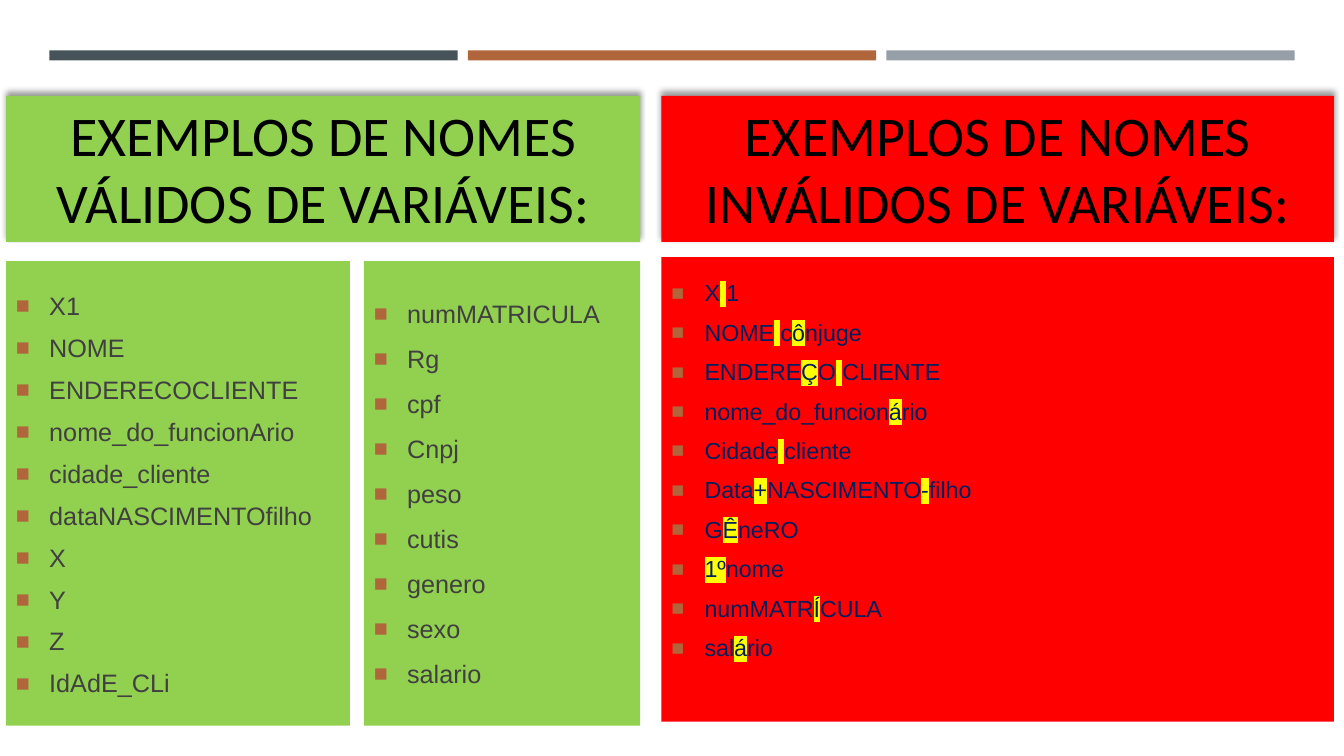
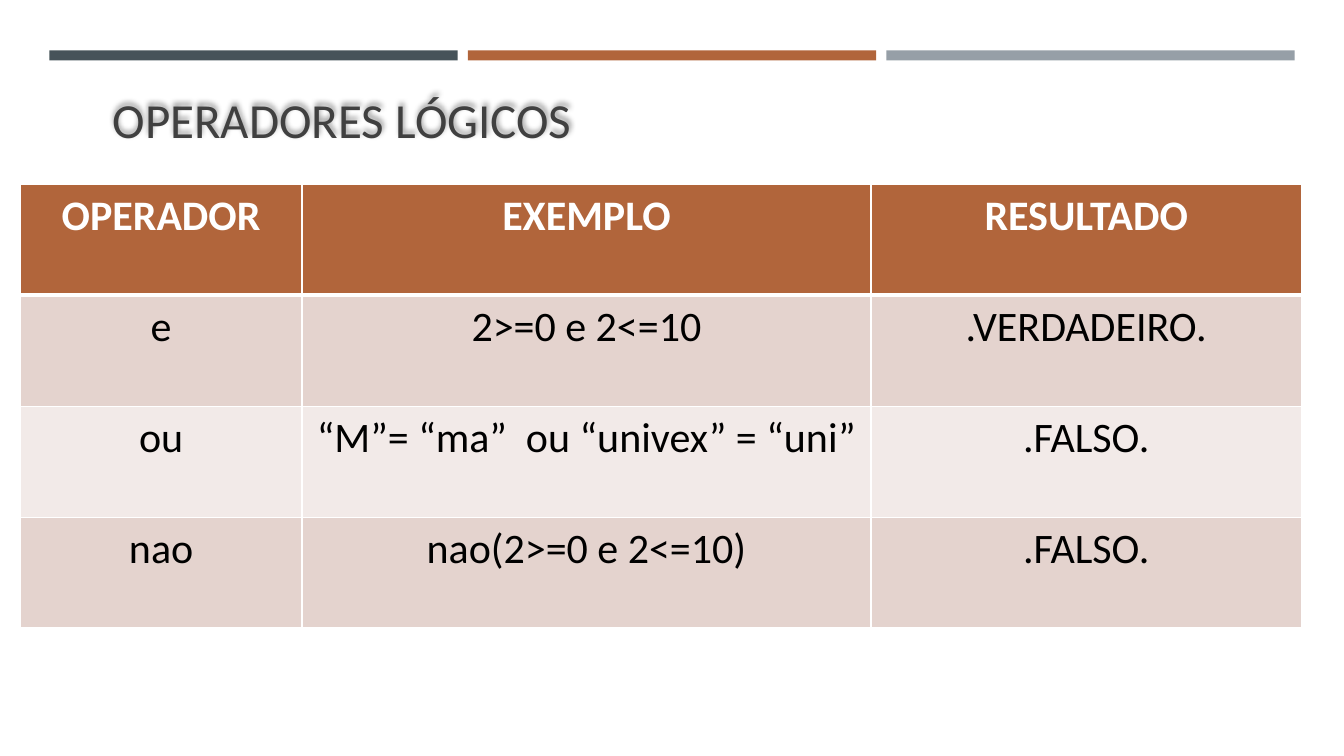
from pptx import Presentation
from pptx.dml.color import RGBColor
from pptx.enum.shapes import MSO_SHAPE
from pptx.enum.text import MSO_ANCHOR, PP_ALIGN
from pptx.oxml import parse_xml
from pptx.oxml.ns import nsdecls, qn
from pptx.util import Inches, Pt

RECTANGLE = MSO_SHAPE.RECTANGLE
TOP, MIDDLE, BOTTOM = MSO_ANCHOR.TOP, MSO_ANCHOR.MIDDLE, MSO_ANCHOR.BOTTOM
LEFT, CENTER = PP_ALIGN.LEFT, PP_ALIGN.CENTER

SLIDE_W, SLIDE_H = 13.33, 7.5
HEADING_FONT, LIST_FONT = "Calibri", "Arial"
COLORS = {
    "slate": "465359", "rust": "B1653B", "gray": "969FA7",
    "valid": "92D050", "invalid": "FF0000", "mark": "FFFF00",
    "text": "404040", "navy": "002060", "black": "000000", "white": "FFFFFF",
    "row_dark": "E4D3CE", "row_light": "F2EAE8",
}

VALID_NAMES = [
    ["X1", "NOME", "ENDERECOCLIENTE", "nome_do_funcionArio", "cidade_cliente",
     "dataNASCIMENTOfilho", "X", "Y", "Z", "IdAdE_CLi"],
    ["numMATRICULA", "Rg", "cpf", "Cnpj", "peso", "cutis", "genero", "sexo",
     "salario"],
]
# Square brackets enclose the characters to highlight
INVALID_NAMES = [
    "X[ ]1", "NOME[ ]c[ô]njuge", "ENDERE[Ç]O[ ]CLIENTE",
    "nome_do_funcion[á]rio", "Cidade[ ]cliente", "Data[+]NASCIMENTO[-]filho",
    "G[Ê]neRO", "[1º]nome", "numMATR[Í]CULA", "sal[á]rio",
]
OPERATORS = [
    ["OPERADOR", "EXEMPLO", "RESULTADO"],
    ["e", "2>=0 e 2<=10", ".VERDADEIRO."],
    ["ou", "“M”= “ma”  ou “univex” = “uni”", ".FALSO."],
    ["nao", "nao(2>=0 e 2<=10)", ".FALSO."],
]


def rgb(name):
    return RGBColor.from_string(COLORS[name])


def split_columns(left, width, weights, gap):
    """Left edge and width of each weighted column."""
    usable = width - gap * (len(weights) - 1)
    for weight in weights:
        column = usable * weight / sum(weights)
        yield left, column
        left += column + gap


def add_block(slide, box, fill):
    block = slide.shapes.add_shape(RECTANGLE, *map(Inches, box))
    block.fill.solid()
    block.fill.fore_color.rgb = rgb(fill)
    block.line.fill.background()
    block.shadow.inherit = False
    return block


def add_upward_shadow(shape):
    shape.shadow.inherit = False
    shape._element.spPr.find(qn("a:effectLst")).append(parse_xml(
        f'<a:outerShdw {nsdecls("a")} blurRad="{Pt(4)}" dist="{Pt(3)}" '
        f'dir="16200000" rotWithShape="0"><a:srgbClr val="{COLORS["black"]}">'
        '<a:alpha val="40000"/></a:srgbClr></a:outerShdw>'))


def style_paragraph(paragraph, font, size, color, align, bold=False):
    paragraph.alignment = align
    paragraph.font.name = font
    paragraph.font.size = Pt(size)
    paragraph.font.bold = bold
    paragraph.font.color.rgb = rgb(color)


def write_heading(shape, text, size, color, anchor):
    frame = shape.text_frame
    frame.word_wrap = True
    frame.vertical_anchor = anchor
    frame.text = text
    style_paragraph(frame.paragraphs[0], HEADING_FONT, size, color, CENTER)
    add_upward_shadow(shape)


def add_bullet(paragraph):
    props = paragraph._p.get_or_add_pPr()
    props.set("marL", str(Inches(0.33)))
    props.set("indent", str(-Inches(0.33)))
    for tag in (f'buClr {nsdecls("a")}><a:srgbClr val="{COLORS["rust"]}"/></a:buClr',
                f'buSzPct {nsdecls("a")} val="92000"/',
                f'buFont {nsdecls("a")} typeface="{LIST_FONT}"/',
                f'buChar {nsdecls("a")} char="■"/'):
        props.append(parse_xml(f"<a:{tag}>"))


def write_marked(paragraph, text):
    """Add runs, highlighting the bracketed parts."""
    for index, part in enumerate(text.replace("]", "[").split("[")):
        if not part:
            continue
        run = paragraph.add_run()
        run.text = part
        if index % 2:
            run._r.get_or_add_rPr().append(parse_xml(
                f'<a:highlight {nsdecls("a")}><a:srgbClr '
                f'val="{COLORS["mark"]}"/></a:highlight>'))


def add_name_list(slide, box, fill, names, size, color, spacing, insets):
    frame = add_block(slide, box, fill).text_frame
    frame.word_wrap = True
    frame.vertical_anchor = MIDDLE
    frame.margin_top, frame.margin_bottom = map(Inches, insets)
    for index, name in enumerate(names):
        paragraph = frame.add_paragraph() if index else frame.paragraphs[0]
        paragraph.line_spacing = spacing
        paragraph.space_before = Pt(round(size / 4, 1))
        paragraph.space_after = Pt(6)
        add_bullet(paragraph)
        style_paragraph(paragraph, LIST_FONT, size, color, LEFT)
        write_marked(paragraph, name)


def add_names_panel(slide, box, fill, title, lists, weights, size, color):
    """Heading above one or more lists, given as (names, spacing, insets)."""
    left, top, width, height = box
    heading = add_block(slide, (left, top, width, 1.45), fill)
    write_heading(heading, title, 40, "black", TOP)
    list_height = 4.61
    list_top = top + height - list_height
    columns = split_columns(left, width, weights, 0.14)
    for (x, column), (names, spacing, insets) in zip(columns, lists):
        add_name_list(slide, (x, list_top, column, list_height), fill, names,
                      size, color, spacing, insets)


def set_cell_borders(cell, top, bottom):
    props = cell._tc.get_or_add_tcPr()
    for side, points in (("L", 1), ("R", 1), ("T", top), ("B", bottom)):
        props.append(parse_xml(
            f'<a:ln{side} {nsdecls("a")} w="{Pt(points)}"><a:solidFill>'
            f'<a:srgbClr val="{COLORS["white"]}"/></a:solidFill></a:ln{side}>'))


def add_operator_table(slide, box, rows, shares):
    table = slide.shapes.add_table(len(rows), len(shares),
                                   *map(Inches, box)).table
    for column, share in zip(table.columns, shares):
        column.width = Inches(box[2] * share)
    for r, row in enumerate(rows):
        header = r == 0
        fill = "rust" if header else "row_dark" if r % 2 else "row_light"
        for c, text in enumerate(row):
            cell = table.cell(r, c)
            cell.margin_top = cell.margin_bottom = Inches(0.06)
            set_cell_borders(cell, 3 if r == 1 else 1, 3 if header else 1)
            cell.fill.solid()
            cell.fill.fore_color.rgb = rgb(fill)
            cell.text = text
            style_paragraph(cell.text_frame.paragraphs[0], HEADING_FONT, 30,
                            "white" if header else "black", CENTER, header)


def new_slide(prs):
    """Blank slide with the three bands across the top."""
    slide = prs.slides.add_slide(prs.slide_layouts[6])
    bands = split_columns(0.49, 12.35, (1, 1, 1), 0.1)
    for (x, width), color in zip(bands, ("slate", "rust", "gray")):
        add_block(slide, (x, 0.5, width, 0.1), color)
    return slide


def build_names_slide(prs):
    slide = new_slide(prs)
    add_names_panel(slide, (0.06, 0.95, 6.29, 6.25), "valid",
                    "EXEMPLOS DE NOMES VÁLIDOS DE VARIÁVEIS:",
                    [(VALID_NAMES[0], 0.9, (0.1, 0.05)),
                     (VALID_NAMES[1], 1.0, (0.05, 0.05))],
                    (3.41, 2.74), 18, "text")
    add_names_panel(slide, (6.56, 0.95, 6.67, 6.21), "invalid",
                    "EXEMPLOS DE NOMES INVÁLIDOS DE VARIÁVEIS:",
                    [(INVALID_NAMES, 0.9, (0.05, 0.4))], (1,), 16.6, "navy")


def build_operators_slide(prs):
    slide = new_slide(prs)
    title = slide.shapes.add_textbox(*map(Inches, (0.64, 0.83, 5.51, 0.69)))
    write_heading(title, "OPERADORES LÓGICOS", 35, "text", BOTTOM)
    add_operator_table(slide, (0.2, 1.83, 12.71, 4.4), OPERATORS,
                       (0.22, 0.444, 0.336))


def main():
    prs = Presentation()
    prs.slide_width, prs.slide_height = Inches(SLIDE_W), Inches(SLIDE_H)
    build_names_slide(prs)
    build_operators_slide(prs)
    prs.save("out.pptx")


if __name__ == "__main__":
    main()
